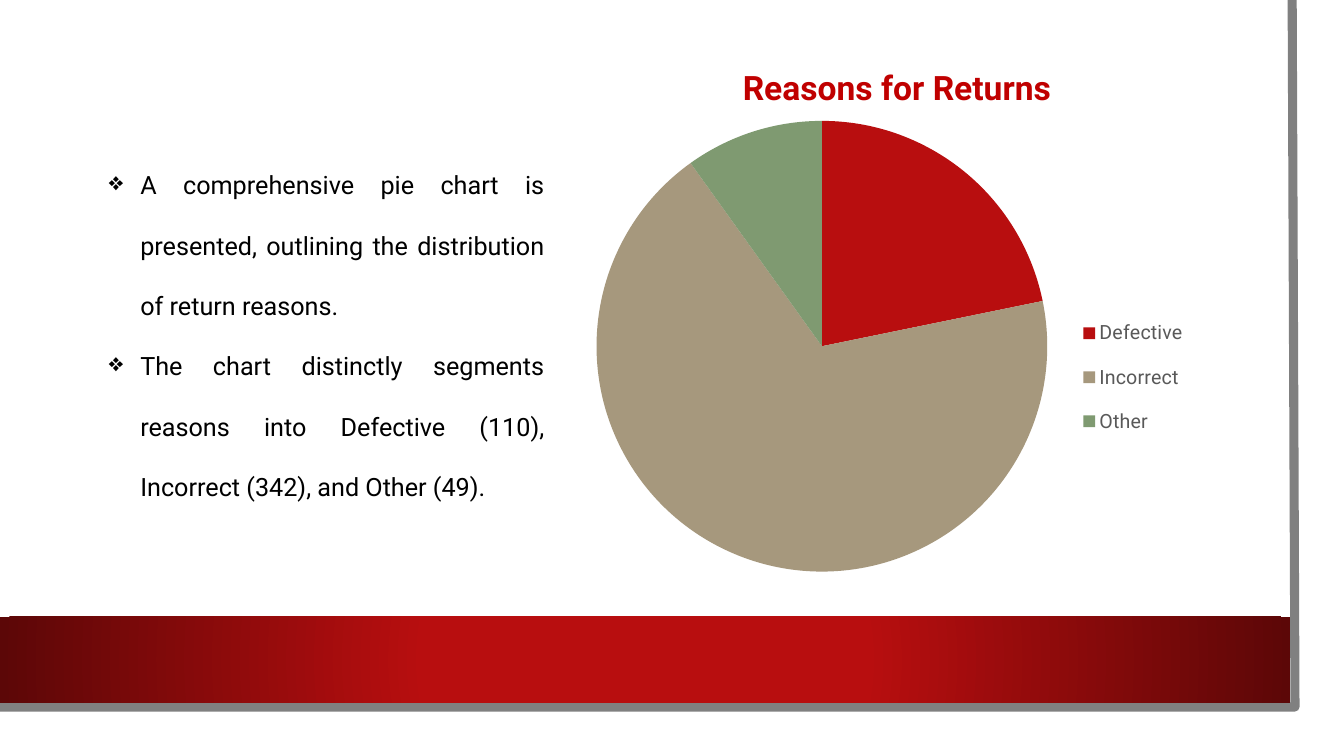
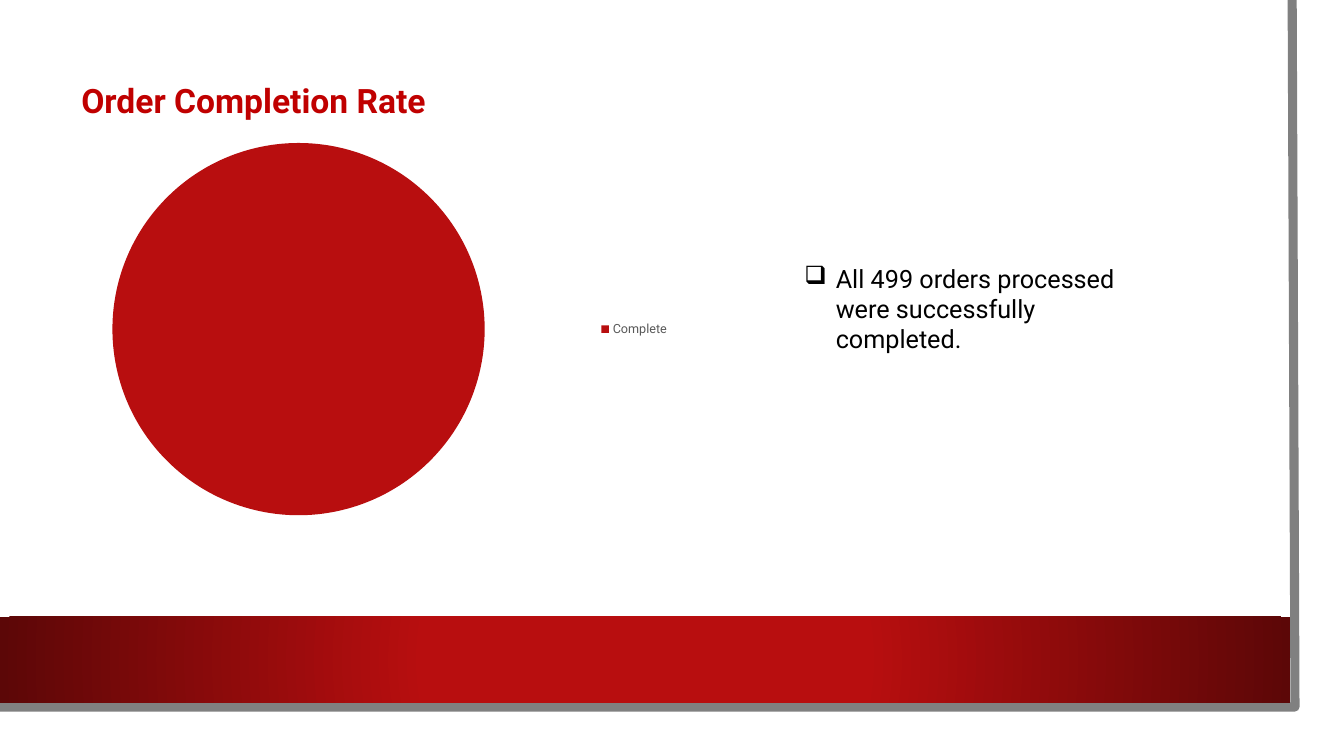
from dataclasses import dataclass

from lxml.etree import SubElement
from pptx import Presentation
from pptx.chart.data import CategoryChartData
from pptx.dml.color import RGBColor as Rgb
from pptx.enum.chart import XL_CHART_TYPE as ChartType, XL_LEGEND_POSITION as LegendSide
from pptx.enum.shapes import MSO_SHAPE as Preset
from pptx.enum.text import MSO_AUTO_SIZE as AutoSize, PP_ALIGN as Align
from pptx.oxml import parse_xml
from pptx.oxml.ns import nsdecls, qn
from pptx.util import Pt


@dataclass(frozen=True)
class Theme:
    """Hold the colours, font and type sizes of the deck."""

    font: str = "Roboto"
    paper: Rgb = Rgb(0xFF, 0xFF, 0xFF)
    edge: Rgb = Rgb(0x80, 0x80, 0x80)
    red: Rgb = Rgb(0xB8, 0x0E, 0x0F)
    dark_red: Rgb = Rgb(0x5C, 0x07, 0x07)
    sand: Rgb = Rgb(0xA6, 0x98, 0x7D)
    sage: Rgb = Rgb(0x7F, 0x9A, 0x71)
    heading: Rgb = Rgb(0xC0, 0x00, 0x00)
    body: Rgb = Rgb(0x00, 0x00, 0x00)
    legend: Rgb = Rgb(0x59, 0x59, 0x59)
    heading_size: int = 24
    body_size: int = 18


THEME = Theme()
SLICE_COLOURS = (THEME.red, THEME.sand, THEME.sage)
BULLET_INDENT = 22.5


def points(*lengths):
    """Convert numbers to point lengths."""
    return [Pt(length) for length in lengths]


def style_font(font, size, colour, bold=False):
    """Apply the deck font with a size, colour and weight."""
    font.name = THEME.font
    font.size = Pt(size)
    font.color.rgb = colour
    font.bold = bold


def add_panel(slide, box):
    """Add a borderless rectangle and return it."""
    panel = slide.shapes.add_shape(Preset.RECTANGLE, *points(*box))
    panel.shadow.inherit = False
    panel.line.fill.background()
    return panel


def add_frame(slide):
    """Draw the paper, its grey edge and the red band."""
    paper = add_panel(slide, (0, 0, 943, 523.5))
    paper.fill.solid()
    paper.fill.fore_color.rgb = THEME.paper

    outline = slide.shapes.build_freeform(923, 0, scale=Pt(1))
    outline.add_line_segments([(925.2, 505.4), (-2.2, 504.7)], close=False)
    edge = outline.convert_to_shape()
    edge.shadow.inherit = False
    edge.fill.background()
    edge.line.color.rgb = THEME.edge
    edge.line.width = Pt(6.5)

    band = add_panel(slide, (0, 440.6, 921.6, 61.4))
    band.fill.gradient()
    stops = ((0.34, THEME.red), (1, THEME.dark_red))
    for stop, (position, colour) in zip(band.fill.gradient_stops, stops):
        stop.position = position
        stop.color.rgb = colour
    gradient = band.element.spPr.find(qn("a:gradFill"))
    gradient.replace(gradient.find(qn("a:lin")), parse_xml(
        f'<a:path {nsdecls("a")} path="circle">'
        '<a:fillToRect l="50000" t="50000" r="50000" b="50000"/></a:path>'))


def add_text(slide, box, lines, wrap=True):
    """Add a growing text box and return its text frame."""
    frame = slide.shapes.add_textbox(*points(*box)).text_frame
    frame.word_wrap = wrap
    frame.auto_size = AutoSize.SHAPE_TO_FIT_TEXT
    frame.text = "\n".join(lines)
    return frame


def add_heading(slide, box, heading):
    """Add a bold red slide heading."""
    paragraph = add_text(slide, box, [heading], wrap=False).paragraphs[0]
    paragraph.alignment = Align.JUSTIFY
    style_font(paragraph.runs[0].font, THEME.heading_size, THEME.heading, bold=True)


def add_bullets(slide, box, lines, bullet, spacing=None, alignment=None):
    """Add a list with hanging bullets."""
    for paragraph in add_text(slide, box, lines).paragraphs:
        paragraph.alignment = alignment
        paragraph.line_spacing = spacing
        style_font(paragraph.runs[0].font, THEME.body_size, THEME.body)
        properties = paragraph._p.get_or_add_pPr()
        properties.set("marL", str(Pt(BULLET_INDENT)))
        properties.set("indent", str(-Pt(BULLET_INDENT)))
        SubElement(properties, qn("a:buChar")).set("char", bullet)


def place_part(chart, tag, **fractions):
    """Fix a chart part at fractions of the chart area."""
    part = chart.element.find(f".//{qn(tag)}")
    for automatic in part.findall(qn("c:layout")):
        part.remove(automatic)
    is_plot = tag == "c:plotArea"
    settings = {"layoutTarget": "inner"} if is_plot else {}
    settings.update(xMode="edge", yMode="edge", **fractions)
    content = "".join(f'<c:{key} val="{value}"/>' for key, value in settings.items())
    part.insert(0 if is_plot else 1, parse_xml(
        f'<c:layout {nsdecls("c")}><c:manualLayout>{content}</c:manualLayout></c:layout>'))


def add_pie(slide, box, shares, text_size, legend_size):
    """Add a pie chart with a legend on the right and return it."""
    data = CategoryChartData()
    data.categories = list(shares)
    data.add_series("Series 1", list(shares.values()))
    chart = slide.shapes.add_chart(ChartType.PIE, *points(*box), data).chart
    style_font(chart.font, text_size, THEME.body)
    chart.has_title = False
    chart.has_legend = True
    chart.legend.position = LegendSide.RIGHT
    chart.legend.include_in_layout = False
    style_font(chart.legend.font, legend_size, THEME.legend)
    plot = chart.plots[0]
    plot.vary_by_categories = True
    for index, colour in zip(range(len(shares)), SLICE_COLOURS):
        fill = plot.series[0].points[index].format.fill
        fill.solid()
        fill.fore_color.rgb = colour
    return chart


def add_chart_title(chart, title):
    """Give a chart a bold red title."""
    chart.has_title = True
    frame = chart.chart_title.text_frame
    frame.text = title
    style_font(frame.paragraphs[0].runs[0].font, THEME.heading_size, THEME.heading, bold=True)
    chart.chart_title.include_in_layout = False


def build_returns(slide):
    """Build the slide on return reasons."""
    add_frame(slide)
    reasons = add_pie(slide, (404.6, 26, 468, 402.5),
                      {"Defective": 22, "Incorrect": 69, "Other": 10}, 14, 14)
    add_chart_title(reasons, "Reasons for Returns")
    place_part(reasons, "c:title", x=0.26, y=0.04)
    place_part(reasons, "c:plotArea", x=0, y=0.15, w=0.78, h=0.8)
    place_part(reasons, "c:legend", x=0.78, y=0.47, w=0.17, h=0.27)
    add_bullets(slide, (70.6, 95.8, 325.4, 262), [
        "A comprehensive pie chart is presented, outlining the distribution of return reasons.",
        "The chart distinctly segments reasons into Defective (110), Incorrect (342), and Other (49).",
    ], "❖", spacing=2.0, alignment=Align.JUSTIFY)


def build_completion(slide):
    """Build the slide on order completion."""
    add_frame(slide)
    add_pie(slide, (0, 92.2, 485.3, 285.8), {"Complete": 100}, 10, 9)
    add_bullets(slide, (567.4, 184.3, 267, 72.7),
                ["All 499 orders processed were successfully completed."], "❑")
    add_heading(slide, (51, 53.3, 280, 36), "Order Completion Rate")


def main():
    """Build and save the deck."""
    deck = Presentation()
    deck.slide_width, deck.slide_height = points(960, 540)
    blank = deck.slide_layouts[6]
    for build in (build_returns, build_completion):
        build(deck.slides.add_slide(blank))
    deck.save("out.pptx")


if __name__ == "__main__":
    main()
